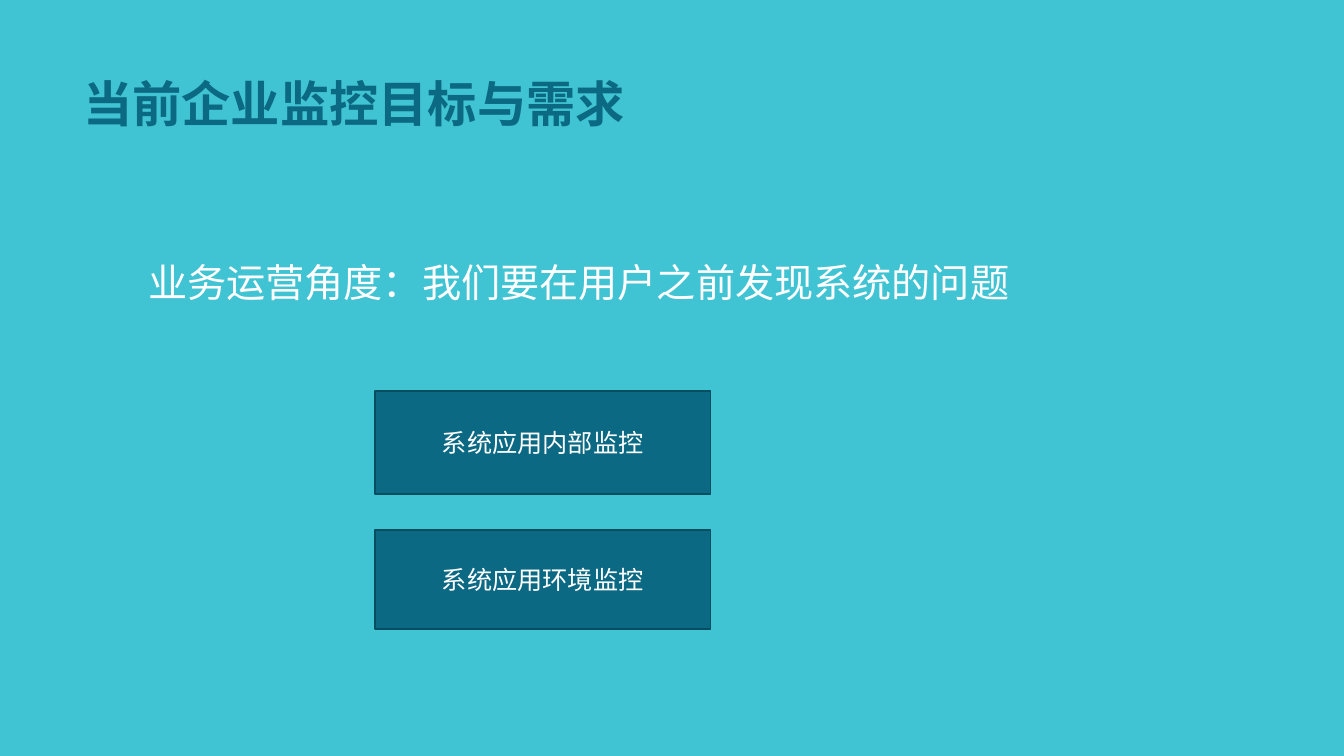
"""Build the slide on enterprise monitoring goals and needs."""
from pptx import Presentation
from pptx.dml.color import RGBColor
from pptx.enum.shapes import MSO_SHAPE as Shape
from pptx.enum.text import MSO_ANCHOR as Anchor, MSO_AUTO_SIZE as AutoSize, PP_ALIGN as Align
from pptx.util import Pt

TURQUOISE = RGBColor(0x40, 0xC3, 0xD3)
TEAL = RGBColor(0x0B, 0x69, 0x83)
DARK_TEAL = RGBColor(0x08, 0x4E, 0x61)
WHITE = RGBColor(0xFF, 0xFF, 0xFF)
FONT = "Arial"

BOX_LEFT, BOX_WIDTH = 267.84, 239.76
MONITORING_BOXES = [
    ("系统应用内部监控", 279.36, 73.44),
    ("系统应用环境监控", 378.72, 70.56),
]


def write(frame, text, size, color, align, anchor, bold=False):
    """Fill a text frame with one formatted run."""
    frame.word_wrap = True
    frame.vertical_anchor = anchor
    para = frame.paragraphs[0]
    para.alignment = align
    span = para.add_run()
    span.text = text
    span.font.name = FONT
    span.font.size = Pt(size)
    span.font.bold = bold
    span.font.color.rgb = color
    return para


def place_title(page, text):
    """Move the title placeholder and write the title in it."""
    title = page.shapes.title
    title.left, title.top = Pt(49.68), Pt(23.76)
    title.width, title.height = Pt(406.08), Pt(74.16)
    title.text_frame.auto_size = AutoSize.NONE
    para = write(title.text_frame, text, 35.2, TEAL, Align.CENTER, Anchor.BOTTOM, bold=True)
    para.line_spacing = 1.3
    para.space_before = Pt(0)


def add_statement(page, text):
    """Add the line of text under the title."""
    box = page.shapes.add_textbox(Pt(98.64), Pt(180.72), Pt(660.96), Pt(41.04))
    write(box.text_frame, text, 28, WHITE, Align.LEFT, Anchor.TOP)
    box.text_frame.auto_size = AutoSize.SHAPE_TO_FIT_TEXT


def add_monitoring_box(page, text, top, height):
    """Add a filled rectangle with a centred label."""
    box = page.shapes.add_shape(
        Shape.RECTANGLE, Pt(BOX_LEFT), Pt(top), Pt(BOX_WIDTH), Pt(height))
    box.shadow.inherit = False
    box.fill.solid()
    box.fill.fore_color.rgb = TEAL
    box.line.color.rgb = DARK_TEAL
    box.line.width = Pt(1)
    write(box.text_frame, text, 18, WHITE, Align.CENTER, Anchor.MIDDLE)


def main():
    """Create the deck with its single page and save it."""
    deck = Presentation()
    deck.slide_width, deck.slide_height = Pt(960), Pt(540)
    page = deck.slides.add_slide(deck.slide_layouts[5])
    page.background.fill.solid()
    page.background.fill.fore_color.rgb = TURQUOISE
    place_title(page, "当前企业监控目标与需求")
    add_statement(page, "业务运营角度：我们要在用户之前发现系统的问题")
    for text, top, height in MONITORING_BOXES:
        add_monitoring_box(page, text, top, height)
    deck.save("out.pptx")


if __name__ == "__main__":
    main()
